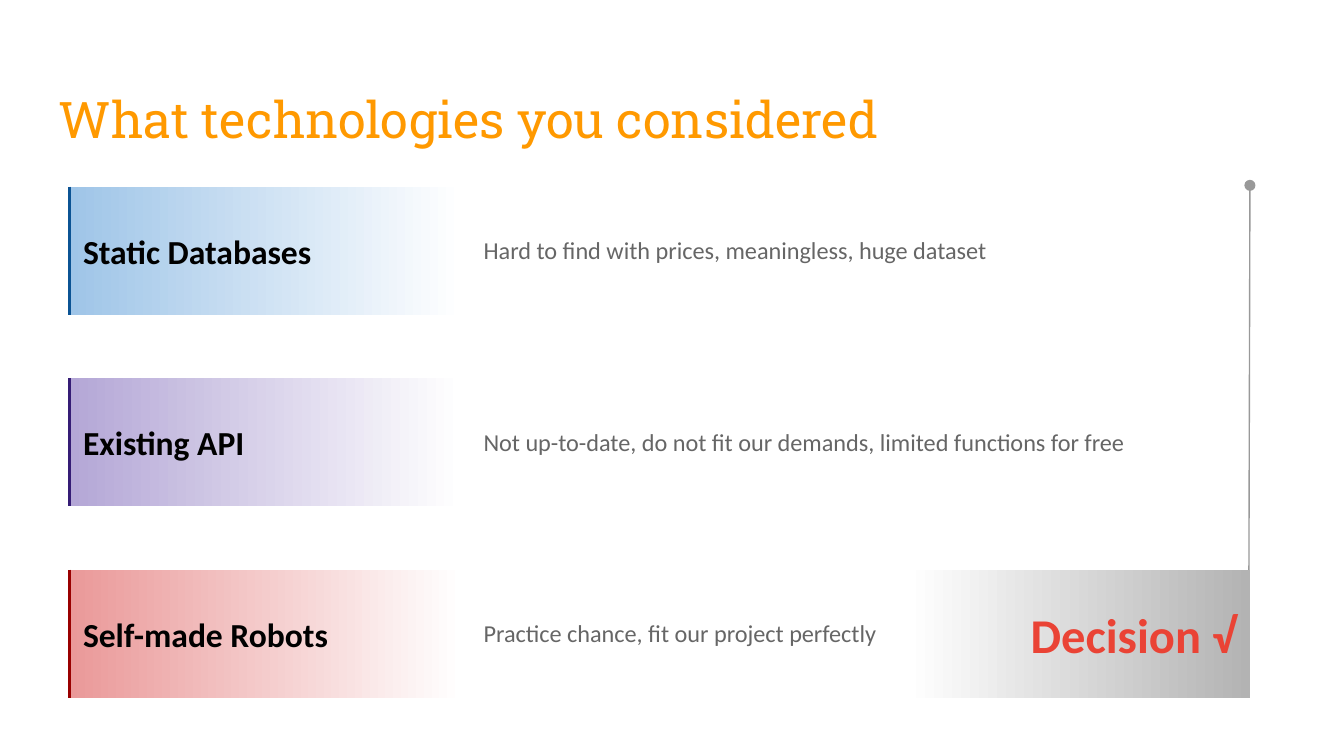
from lxml import etree
from pptx import Presentation
from pptx.dml.color import RGBColor
from pptx.enum import shapes, text
from pptx.oxml import ns
from pptx.util import Pt


def add_text(sp, words, size, color, bold=False, font="Calibri"):
    tf = sp.text_frame
    tf.word_wrap = True
    tf.margin_left = tf.margin_right = tf.margin_top = tf.margin_bottom = Pt(7.2)
    p = tf.paragraphs[0]
    p.text = words
    p.alignment = text.PP_ALIGN.LEFT
    p.font.name = font
    p.font.size = Pt(size)
    p.font.bold = bold
    p.font.color.rgb = RGBColor.from_string(color)
    return p


def add_line(x1, y1, x2, y2, color, width):
    line = s.shapes.add_connector(
        shapes.MSO_CONNECTOR.STRAIGHT, Pt(x1), Pt(y1), Pt(x2), Pt(y2))
    line.line.color.rgb = RGBColor.from_string(color)
    line.line.width = Pt(width)
    etree.SubElement(line._element.spPr, ns.qn("a:effectLst"))
    return line


prs = Presentation()
prs.slide_width, prs.slide_height = Pt(720), Pt(405)
s = prs.slides.add_slide(prs.slide_layouts[6])

title = s.shapes.add_textbox(Pt(24.5), Pt(35.3), Pt(671), Pt(45.4))
p = add_text(title, "What technologies you considered", 27, "FF9900", font="Roboto Slab")
p.line_spacing = 1.15
p.space_after = Pt(12)

left, top, pitch, height = 37.4, 100, 102.6, 68.5
last_top = top + 2 * pitch

axis = add_line(669.6, 99.3, 668.9, 373, "999999", 0.75)
etree.SubElement(axis.line._get_or_add_ln(), ns.qn("a:headEnd"), type="oval")

bands = [
    (left, top, 210.3, "9FC5E8", 180, "Static Databases", 18, "000000"),
    (left, top + pitch, 210.3, "B4A7D6", 180, "Existing API", 18, "000000"),
    (left, last_top, 210.3, "EA9999", 180, "Self-made Robots", 18, "000000"),
    (486, last_top, 183.6, "B3B3B3", 0, "Decision √", 26, "EA4335"),
]
for x, y, width, fill, angle, words, size, color in bands:
    sp = s.shapes.add_shape(
        shapes.MSO_SHAPE.RECTANGLE, Pt(x), Pt(y), Pt(width), Pt(height))
    sp.shadow.inherit = False
    sp.line.fill.background()
    sp.fill.gradient()
    sp.fill.gradient_angle = angle
    for stop, shade in zip(sp.fill.gradient_stops, ("FFFFFF", fill)):
        stop.color.rgb = RGBColor.from_string(shade)
    sp.text_frame.vertical_anchor = text.MSO_ANCHOR.MIDDLE
    p = add_text(sp, words, size, color, bold=True)
    if angle == 0:
        p.alignment = text.PP_ALIGN.RIGHT

reasons = [
    ("0B5394", 298, "Hard to find with prices, meaningless, huge dataset"),
    ("351C75", 363, "Not up-to-date, do not fit our demands, limited functions for free"),
    ("990000", 298, "Practice chance, fit our project perfectly"),
]
for i, (accent, width, words) in enumerate(reasons):
    y = top + i * pitch
    add_line(left, y, left, y + height, accent, 1.5)
    box = s.shapes.add_textbox(Pt(252), Pt(y + 18.8), Pt(width), Pt(30.2))
    add_text(box, words, 13, "666666")

prs.save("out.pptx")
